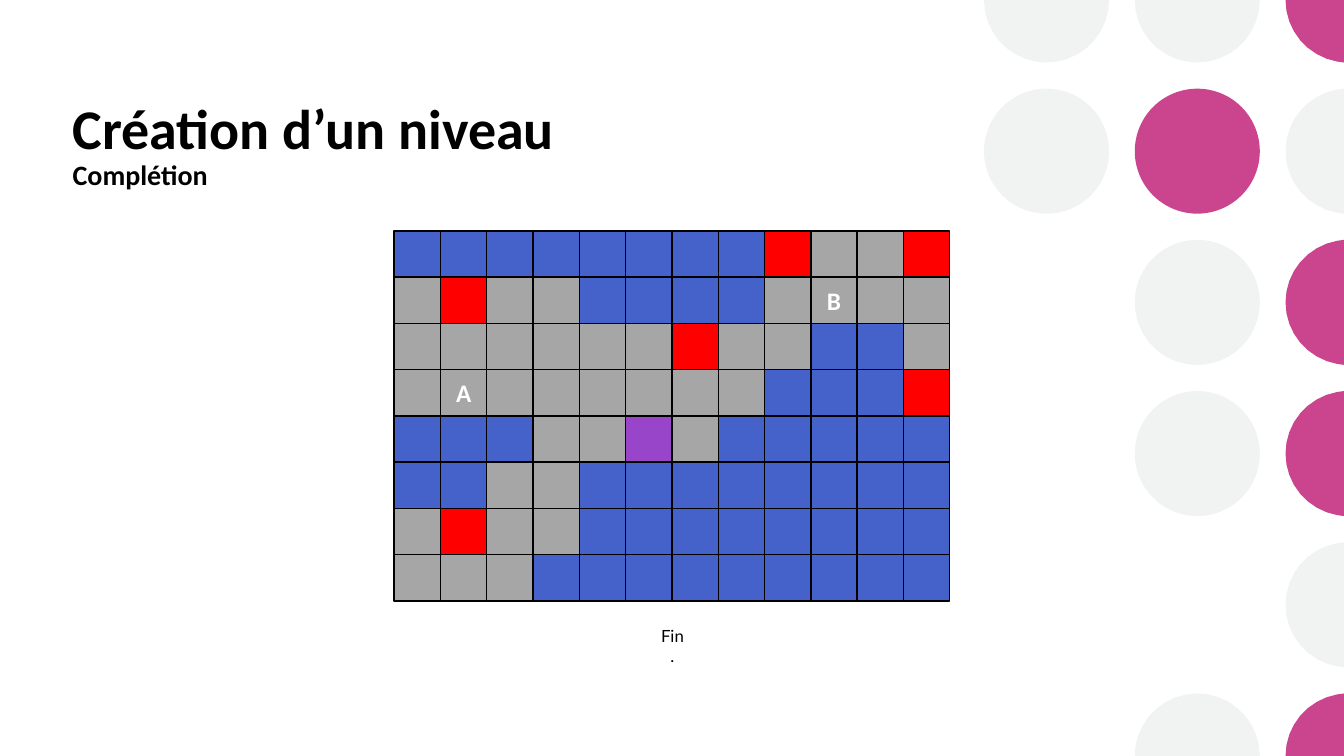
from copy import deepcopy
from dataclasses import dataclass
from math import cos, radians, sin

from pptx import Presentation
from pptx.dml.color import RGBColor as RGB
from pptx.enum.shapes import MSO_SHAPE as Preset
from pptx.enum.text import MSO_ANCHOR as Anchor, MSO_AUTO_SIZE as AutoSize, PP_ALIGN as Align
from pptx.util import Inches, Pt


@dataclass(frozen=True)
class Theme:
    black: RGB = RGB(0x00, 0x00, 0x00)
    white: RGB = RGB(0xFF, 0xFF, 0xFF)
    pale: RGB = RGB(0xF0, 0xF3, 0xF2)
    pink: RGB = RGB(0xCA, 0x45, 0x8E)
    water: RGB = RGB(0x45, 0x62, 0xCA)
    ground: RGB = RGB(0xA6, 0xA6, 0xA6)
    red: RGB = RGB(0xFF, 0x00, 0x00)
    purple: RGB = RGB(0x98, 0x45, 0xCA)
    title: int = 40
    subtitle: int = 20
    marker: int = 18
    caption: int = 12
    main_font: str = "Calibri"
    caption_font: str = "Lato"


theme = Theme()


def write(paragraph, text, size, color, font=theme.main_font, bold=True, align=None):
    """Append one formatted run to the paragraph and return it."""
    run = paragraph.add_run()
    run.text = text
    run.font.name = font
    run.font.size = Pt(size)
    run.font.bold = bold
    run.font.color.rgb = color
    if align is not None:
        paragraph.alignment = align
    return run


WIDTH, HEIGHT = 13.33, 7.5
deck = Presentation()
deck.slide_width, deck.slide_height = Inches(WIDTH), Inches(HEIGHT)
slide = deck.slides.add_slide(deck.slide_layouts[5])
shapes = slide.shapes

# Decorative dots: P pink, g pale; those crossing the slide edge are cut there
DOT_ROWS = ["ggP", "gPg", ".gP", ".gP", "..g", ".gP"]
RADIUS = 0.62
EDGE = 0.05
for row, dots in enumerate(DOT_ROWS):
    for column, kind in enumerate(dots):
        if kind == ".":
            continue
        center_x, center_y = 10.38 + 1.495 * column, 1.5 * row
        if column < 2 and 0 < row < 5:
            dot = shapes.add_shape(
                Preset.OVAL, Inches(center_x - RADIUS), Inches(center_y - RADIUS),
                Inches(2 * RADIUS), Inches(2 * RADIUS))
        else:
            circle = [(center_x + RADIUS * cos(radians(angle)), center_y + RADIUS * sin(radians(angle)))
                      for angle in range(0, 360, 10)]
            outline = [(Inches(min(x, WIDTH)), Inches(y)) for x, y in circle
                       if x < WIDTH + EDGE and -EDGE < y < HEIGHT + EDGE]
            if column == 2 and row in (0, 5):
                outline.append((Inches(WIDTH), Inches(center_y)))
            builder = shapes.build_freeform(*outline[0])
            builder.add_line_segments(outline[1:], close=True)
            dot = builder.convert_to_shape()
        dot.shadow.inherit = False
        dot.fill.solid()
        dot.fill.fore_color.rgb = theme.pink if kind == "P" else theme.pale
        dot.line.fill.background()

# Title and subtitle
title = shapes.title
title.left, title.top, title.width, title.height = map(Inches, (0.62, 0.84, 8.02, 1.39))
heading = title.text_frame
heading.word_wrap = True
heading.vertical_anchor = Anchor.TOP
heading.margin_top = Inches(0.16)
heading_line = heading.paragraphs[0]
heading_line.line_spacing = 0.9
level_run = write(heading_line, "Création d’un niveau", theme.title, theme.black, align=Align.LEFT)
heading_line.add_line_break()
heading_line._p[-1].append(deepcopy(level_run._r.rPr))
write(heading_line, "Complétion", theme.subtitle, theme.black)

# Level map: w water, . ground, r red, p purple, A and B marked ground
LEVEL = [
    "wwwwwwwwr..r",
    ".r..wwww.B..",
    "......r..ww.",
    ".A......wwwr",
    "www..p.wwwww",
    "ww..wwwwwwww",
    ".r..wwwwwwww",
    "...wwwwwwwww",
]
TILE_COLORS = {"w": theme.water, "r": theme.red, "p": theme.purple}
TILE = 5.51 / 12
for row, tiles in enumerate(LEVEL):
    for column, kind in enumerate(tiles):
        tile = shapes.add_shape(
            Preset.RECTANGLE, Inches(3.91 + TILE * column), Inches(2.29 + TILE * row),
            Inches(TILE), Inches(TILE))
        tile.shadow.inherit = False
        tile.fill.solid()
        tile.fill.fore_color.rgb = TILE_COLORS.get(kind, theme.ground)
        tile.line.color.rgb = theme.black
        tile.line.width = Pt(1)
        if kind in "AB":
            tile.text_frame.vertical_anchor = Anchor.MIDDLE
            write(tile.text_frame.paragraphs[0], kind, theme.marker, theme.white, align=Align.CENTER)

# Caption under the map
caption = shapes.add_textbox(Inches(6.44), Inches(6.16), Inches(0.46), Inches(0.3)).text_frame
caption.word_wrap = True
caption.auto_size = AutoSize.SHAPE_TO_FIT_TEXT
write(caption.paragraphs[0], "Fin.", theme.caption, theme.black,
      font=theme.caption_font, bold=False, align=Align.CENTER)

deck.save("out.pptx")
